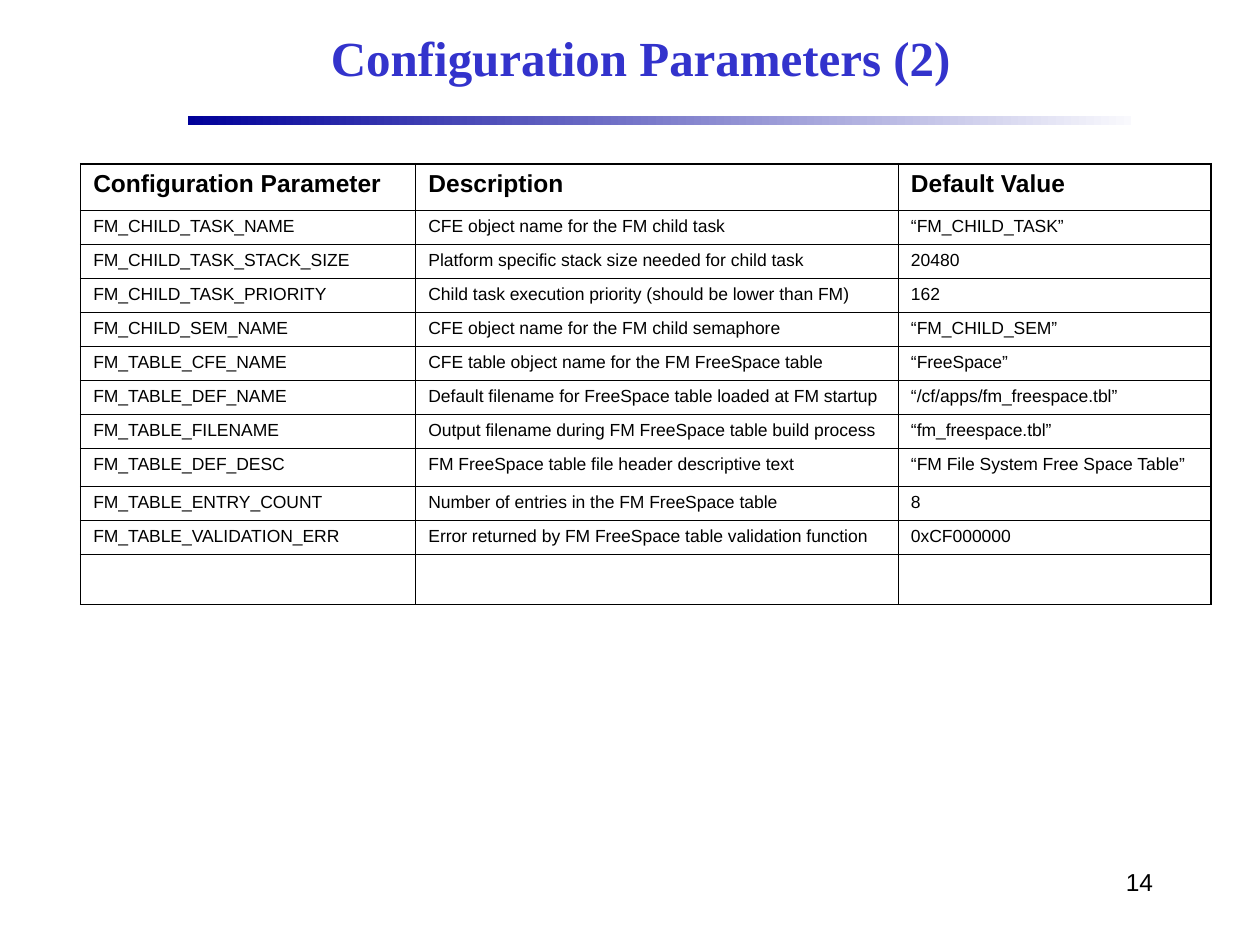
from lxml import etree
from pptx import Presentation
from pptx.dml.color import RGBColor
from pptx.enum import shapes, text
from pptx.oxml.ns import qn
from pptx.util import Inches, Pt

BLACK = RGBColor(0x00, 0x00, 0x00)
TITLE_BLUE = RGBColor(0x33, 0x33, 0xCC)
RULE_START = RGBColor(0x00, 0x00, 0x99)
RULE_END = RGBColor(0xF9, 0xF9, 0xFD)
BODY_FONT = "Arial"
TITLE_FONT = "Times New Roman"

THIN, THICK = Pt(0.45), Pt(1.08)
COLUMN_WIDTHS = [2.66, 3.83, 2.48]
HEADER_HEIGHT, ROW_HEIGHT = 0.37, 0.27
TALL_ROWS = {8: 0.3}

HEADER = ("Configuration Parameter", "Description", "Default Value")
PARAMETERS = [
    ("FM_CHILD_TASK_NAME", "CFE object name for the FM child task", "“FM_CHILD_TASK”"),
    ("FM_CHILD_TASK_STACK_SIZE", "Platform specific stack size needed for child task", "20480"),
    ("FM_CHILD_TASK_PRIORITY", "Child task execution priority (should be lower than FM)", "162"),
    ("FM_CHILD_SEM_NAME", "CFE object name for the FM child semaphore", "“FM_CHILD_SEM”"),
    ("FM_TABLE_CFE_NAME", "CFE table object name for the FM FreeSpace table", "“FreeSpace”"),
    ("FM_TABLE_DEF_NAME", "Default filename for FreeSpace table loaded at FM startup",
     "“/cf/apps/fm_freespace.tbl”"),
    ("FM_TABLE_FILENAME", "Output filename during FM FreeSpace table build process",
     "“fm_freespace.tbl”"),
    ("FM_TABLE_DEF_DESC", "FM FreeSpace table file header descriptive text",
     "“FM File System Free Space Table”"),
    ("FM_TABLE_ENTRY_COUNT", "Number of entries in the FM FreeSpace table", "8"),
    ("FM_TABLE_VALIDATION_ERR", "Error returned by FM FreeSpace table validation function",
     "0xCF000000"),
    ("", "", ""),
]


def place(shape, box):
    shape.left, shape.top, shape.width, shape.height = (Inches(v) for v in box)


def add_span(para, words, size, font=BODY_FONT, color=BLACK, bold=False):
    span = para.add_run()
    span.text = words
    span.font.size = Pt(size)
    span.font.name = font
    span.font.bold = bold
    span.font.color.rgb = color


def add_title(page, box):
    title = page.shapes.title
    place(title, box)
    title.text_frame.vertical_anchor = text.MSO_ANCHOR.MIDDLE
    para = title.text_frame.paragraphs[0]
    para.alignment = text.PP_ALIGN.CENTER
    add_span(para, "Configuration Parameters (2)", 28, TITLE_FONT, TITLE_BLUE, True)


def add_title_rule(page, box):
    rule = page.shapes.add_shape(shapes.MSO_SHAPE.RECTANGLE, *(Inches(v) for v in box))
    rule.shadow.inherit = False
    rule.line.fill.background()
    rule.fill.gradient()
    rule.fill.gradient_angle = 0
    for stop, color in zip(rule.fill.gradient_stops, (RULE_START, RULE_END)):
        stop.color.rgb = color


def add_page_number(page, box):
    number = page.shapes.add_textbox(*(Inches(v) for v in box))
    number.text_frame.word_wrap = True
    para = number.text_frame.paragraphs[0]
    para.alignment = text.PP_ALIGN.RIGHT
    add_span(para, "14", 14)


def set_borders(cell, widths):
    properties = cell._tc.get_or_add_tcPr()
    for index, (side, width) in enumerate(widths.items()):
        line = etree.Element(qn(f"a:ln{side}"), w=str(width))
        fill = etree.SubElement(line, qn("a:solidFill"))
        etree.SubElement(fill, qn("a:srgbClr"), val=str(BLACK))
        properties.insert(index, line)


def fill_cell(cell, words, is_header):
    cell.fill.background()
    para = cell.text_frame.paragraphs[0]
    if words:
        para.space_before = Pt(6.1 if is_header else 4.4)
        add_span(para, words, 14 if is_header else 10, bold=is_header)
    else:
        # An empty cell takes its height from the paragraph-end font
        end = etree.SubElement(para._p, qn("a:endParaRPr"), sz="1800")
        etree.SubElement(end, qn("a:latin"), typeface=BODY_FONT)


def add_parameter_table(page, box):
    rows = [HEADER] + PARAMETERS
    last_row, last_column = len(rows) - 1, len(HEADER) - 1
    frame = page.shapes.add_table(len(rows), len(HEADER), *(Inches(v) for v in box))
    table = frame.table
    table.first_row = table.horz_banding = False
    for column, width in zip(table.columns, COLUMN_WIDTHS):
        column.width = Inches(width)
    for r, values in enumerate(rows):
        height = HEADER_HEIGHT if r == 0 else TALL_ROWS.get(r, ROW_HEIGHT)
        table.rows[r].height = Inches(height)
        for c, words in enumerate(values):
            cell = table.cell(r, c)
            fill_cell(cell, words, r == 0)
            # Thick lines only on the outer edge
            set_borders(cell, {
                "L": THICK if c == 0 else THIN,
                "R": THICK if c == last_column else THIN,
                "T": THICK if r == 0 else THIN,
                "B": THICK if r == last_row else THIN,
            })


def main():
    deck = Presentation()
    deck.slide_width, deck.slide_height = Inches(10), Inches(7.5)
    page = deck.slides.add_slide(deck.slide_layouts[5])
    add_title_rule(page, (1.49, 0.92, 7.49, 0.07))
    add_page_number(page, (7.17, 6.83, 2.08, 0.5))
    add_title(page, (1.5, 0.08, 7.17, 0.75))
    add_parameter_table(page, (0.64, 1.3, 8.97, 3.37))
    deck.save("out.pptx")


if __name__ == "__main__":
    main()
